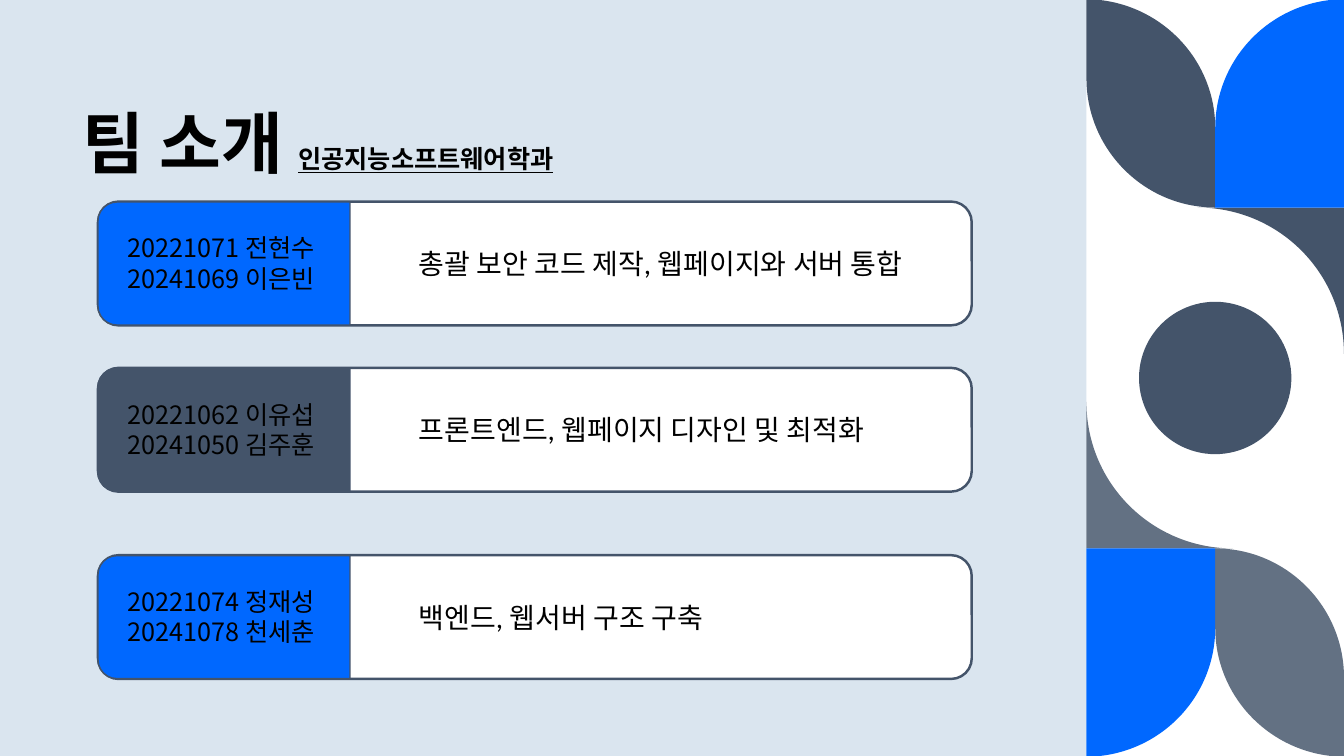
from dataclasses import dataclass

import lxml.etree
import pptx
import pptx.dml.color
import pptx.enum.shapes
import pptx.enum.text
import pptx.oxml.ns
import pptx.shapes.autoshape
import pptx.slide
import pptx.text.text
import pptx.util

Cm = pptx.util.Cm
Preset = pptx.enum.shapes.MSO_SHAPE
Anchor = pptx.enum.text.MSO_ANCHOR
qualified = pptx.oxml.ns.qn
Point = tuple[float, float]
Box = tuple[float, float, float, float]


@dataclass(frozen=True)
class Theme:
    white: str = "FFFFFF"
    black: str = "000000"
    pale: str = "DAE5EF"
    blue: str = "0068FF"
    slate: str = "44546A"
    grey: str = "637183"
    korean_font: str = "Noto Sans CJK KR"
    latin_font: str = "Lato"
    title_size: int = 48
    small_size: int = 18
    role_size: int = 20


@dataclass(frozen=True)
class Segment:
    end: Point
    controls: tuple[Point, ...] = ()


@dataclass(frozen=True)
class Motif:
    start: Point
    segments: tuple[Segment, ...]
    top_color: str
    bottom_color: str


@dataclass(frozen=True)
class TeamCard:
    top: float
    color: str
    members: tuple[str, ...]
    role: str


THEME = Theme()
WIDTH, HEIGHT = 33.87, 19.05
PANEL_WIDTH = 27.38
MIDDLE = (PANEL_WIDTH + WIDTH) / 2
BAND = 5.23
CARD_LEFT, CARD_WIDTH, CARD_HEIGHT = 2.47, 22.02, 3.12
TAG_WIDTH, TAG_HEIGHT = 6.35, 3.1
CIRCLE = 3.84

MOTIFS = (
    Motif(
        (PANEL_WIDTH, 0),
        (
            Segment((PANEL_WIDTH, 1.98)),
            Segment((MIDDLE, BAND), ((PANEL_WIDTH, 3.76), (28.83, BAND))),
            Segment((MIDDLE, 3.23)),
            Segment((27.71, 0), ((MIDDLE, 1.55), (29.34, 0.18))),
        ),
        THEME.slate,
        THEME.grey,
    ),
    Motif(
        (WIDTH, BAND),
        (
            Segment((30.18, BAND)),
            Segment((WIDTH, 8.92), ((32.21, BAND), (WIDTH, 6.86))),
        ),
        THEME.slate,
        THEME.grey,
    ),
    Motif(
        (WIDTH, 0),
        (
            Segment((WIDTH, BAND)),
            Segment((MIDDLE, BAND)),
            Segment((MIDDLE, 3.23)),
            Segment((33.53, 0), ((MIDDLE, 1.55), (31.9, 0.18))),
        ),
        THEME.blue,
        THEME.blue,
    ),
)

CARDS = (
    TeamCard(5.08, THEME.blue, ("20221071 전현수", "20241069 이은빈"),
             "총괄 보안 코드 제작, 웹페이지와 서버 통합"),
    TeamCard(9.27, THEME.slate, ("20221062 이유섭", "20241050 김주훈"),
             "프론트엔드, 웹페이지 디자인 및 최적화"),
    TeamCard(13.99, THEME.blue, ("20221074 정재성", "20241078 천세춘"),
             "백엔드, 웹서버 구조 구축"),
)


def rgb(color: str) -> pptx.dml.color.RGBColor:
    return pptx.dml.color.RGBColor.from_string(color)


def paint(shape: pptx.shapes.autoshape.Shape, fill: str, line_width: float = 0) -> None:
    shape.shadow.inherit = False
    shape.fill.solid()
    shape.fill.fore_color.rgb = rgb(fill)
    if line_width:
        shape.line.color.rgb = rgb(THEME.slate)
        shape.line.width = pptx.util.Pt(line_width)
    else:
        shape.line.fill.background()


def add_preset(slide: pptx.slide.Slide, preset: Preset, box: Box, fill: str,
               line_width: float = 0) -> pptx.shapes.autoshape.Shape:
    shape = slide.shapes.add_shape(preset, *map(Cm, box))
    paint(shape, fill, line_width)
    return shape


def turn(point: Point) -> Point:
    return 2 * MIDDLE - point[0], HEIGHT - point[1]


def turn_segment(segment: Segment) -> Segment:
    return Segment(turn(segment.end), tuple(map(turn, segment.controls)))


def bend(shape: pptx.shapes.autoshape.Shape, segments: tuple[Segment, ...]) -> None:
    lines = list(shape._element.iter(qualified("a:lnTo")))
    for line, segment in zip(lines, segments):
        if segment.controls:
            line.tag = qualified("a:cubicBezTo")
            for index, (x, y) in enumerate(segment.controls):
                control = lxml.etree.Element(qualified("a:pt"))
                control.set("x", str(Cm(x) - shape.left))
                control.set("y", str(Cm(y) - shape.top))
                line.insert(index, control)


def add_outline(slide: pptx.slide.Slide, start: Point, segments: tuple[Segment, ...],
                fill: str) -> None:
    builder = slide.shapes.build_freeform(*map(Cm, start))
    builder.add_line_segments([tuple(map(Cm, segment.end)) for segment in segments])
    shape = builder.convert_to_shape()
    bend(shape, segments)
    paint(shape, fill)


def add_motif(slide: pptx.slide.Slide, motif: Motif) -> None:
    add_outline(slide, motif.start, motif.segments, motif.top_color)
    add_outline(slide, turn(motif.start), tuple(map(turn_segment, motif.segments)),
                motif.bottom_color)


def add_text_frame(slide: pptx.slide.Slide, box: Box) -> pptx.text.text.TextFrame:
    frame = slide.shapes.add_textbox(*map(Cm, box)).text_frame
    frame.word_wrap = True
    return frame


def write(paragraph: pptx.text.text._Paragraph, text: str, *, size: int,
          font: str = THEME.korean_font, bold: bool = False,
          underline: bool = False) -> None:
    run = paragraph.add_run()
    run.text = text
    run.font.size = pptx.util.Pt(size)
    run.font.name = font
    run.font.bold = bold
    run.font.underline = underline
    run.font.color.rgb = rgb(THEME.black)


def add_title(slide: pptx.slide.Slide) -> None:
    frame = add_text_frame(slide, (2.08, 1.07, 23.34, 3.68))
    frame.margin_left = 0
    frame.vertical_anchor = Anchor.BOTTOM
    paragraph = frame.paragraphs[0]
    paragraph.line_spacing = 0.9
    write(paragraph, "팀 소개 ", size=THEME.title_size, bold=True)
    write(paragraph, "인공지능소프트웨어학과", size=THEME.small_size, bold=True, underline=True)


def add_card(slide: pptx.slide.Slide, card: TeamCard) -> None:
    add_preset(slide, Preset.ROUNDED_RECTANGLE,
               (CARD_LEFT, card.top, CARD_WIDTH, CARD_HEIGHT), THEME.white, 1.75)
    tag_left = CARD_LEFT + (TAG_WIDTH - TAG_HEIGHT) / 2
    tag_top = card.top + (CARD_HEIGHT - TAG_WIDTH) / 2
    tag = add_preset(slide, Preset.ROUND_2_SAME_RECTANGLE,
                     (tag_left, tag_top, TAG_HEIGHT, TAG_WIDTH), card.color, 1)
    tag.adjustments[0] = 0.155
    tag.rotation = 270
    names = add_text_frame(slide, (2.97, card.top + 0.66, 5.84, 1.8))
    for index, member in enumerate(card.members):
        paragraph = names.add_paragraph() if index else names.paragraphs[0]
        write(paragraph, member, size=THEME.small_size)
    role = add_text_frame(slide, (10.31, card.top + 1.01, 13.74, 1.12))
    write(role.paragraphs[0], card.role, size=THEME.role_size, font=THEME.latin_font)


def main() -> None:
    presentation = pptx.Presentation()
    presentation.slide_width, presentation.slide_height = Cm(WIDTH), Cm(HEIGHT)
    slide = presentation.slides.add_slide(presentation.slide_layouts[6])
    add_preset(slide, Preset.RECTANGLE, (0, 0, PANEL_WIDTH, HEIGHT), THEME.pale)
    for motif in MOTIFS:
        add_motif(slide, motif)
    add_preset(slide, Preset.OVAL,
               (MIDDLE - CIRCLE / 2, (HEIGHT - CIRCLE) / 2, CIRCLE, CIRCLE), THEME.slate)
    add_title(slide)
    for card in CARDS:
        add_card(slide, card)
    presentation.save("out.pptx")


if __name__ == "__main__":
    main()
